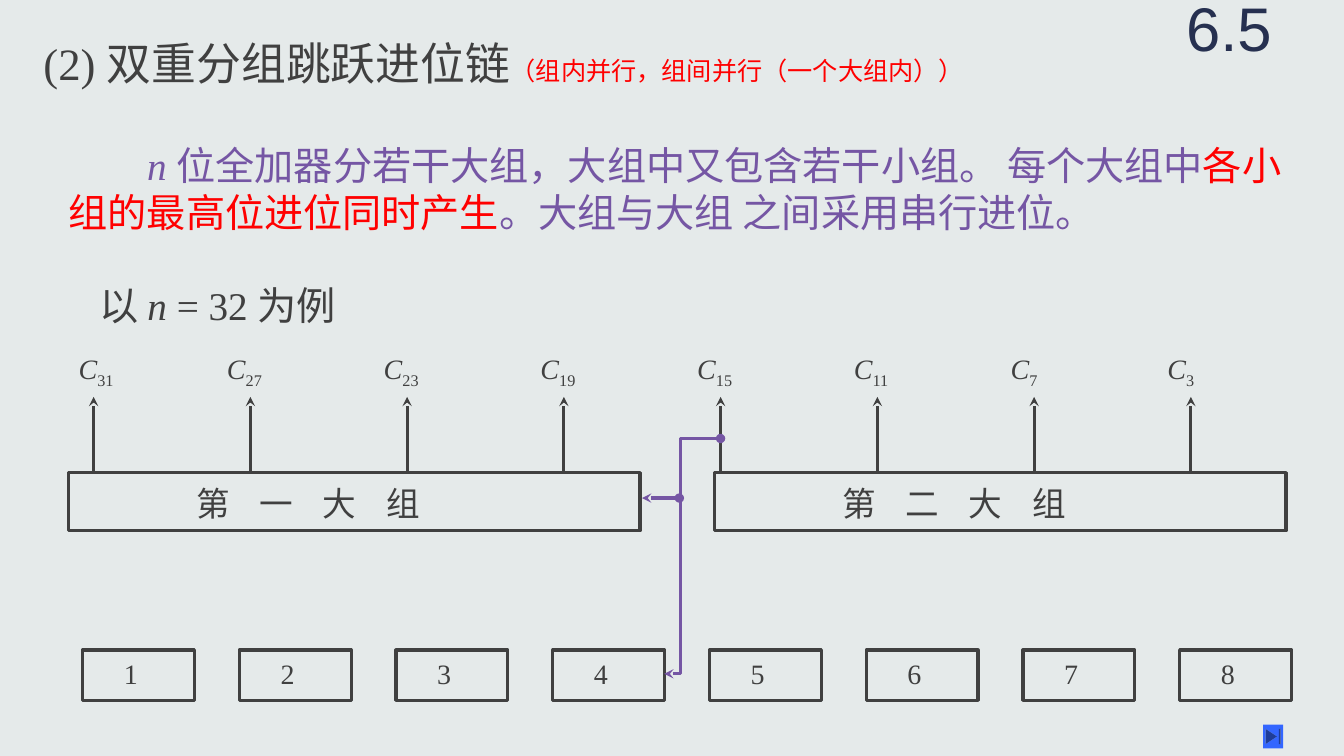
from pptx import Presentation
from pptx.dml.color import RGBColor
from pptx.enum.shapes import MSO_CONNECTOR, MSO_SHAPE
from pptx.enum.text import MSO_ANCHOR, MSO_AUTO_SIZE, PP_ALIGN
from pptx.oxml.ns import qn
from pptx.util import Cm, Pt
from lxml.etree import SubElement

INK = RGBColor(0x40, 0x40, 0x40)
PURPLE = RGBColor(0x75, 0x56, 0xA4)
RED = RGBColor(0xFF, 0x00, 0x00)
NAVY = RGBColor(0x26, 0x30, 0x50)
BLUE = RGBColor(0x33, 0x66, 0xFF)
PAPER = RGBColor(0xE5, 0xEA, 0xEA)
SERIF, SANS = "Times New Roman", "Arial"
PITCH = 3.95
CARRIES = (31, 27, 23, 19, 15, 11, 7, 3)


def place(sp, left, top, width, height):
    """Position a shape, in centimetres."""
    box = dict(left=left, top=top, width=width, height=height)
    for name, value in box.items():
        setattr(sp, name, Cm(value))


def write(sp, runs, inset=None, **frame):
    """Fill a shape with (text, font values, run attributes) runs."""
    tf = sp.text_frame
    values = dict(word_wrap=True, auto_size=MSO_AUTO_SIZE.NONE) | frame
    if inset is not None:
        values |= {f"margin_{side}": inset for side in ("left", "right", "top", "bottom")}
    for name, value in values.items():
        setattr(tf, name, value)
    p = tf.paragraphs[0]
    p.alignment = PP_ALIGN.LEFT
    for text, fmt, attrs in runs:
        r = p.add_run()
        r.text = text
        fmt = dict(name=SERIF, color=INK) | fmt
        r.font.color.rgb = fmt.pop("color")
        for name, value in fmt.items():
            setattr(r.font, name, value)
        for name, value in attrs.items():
            r.font._element.set(name, value)
    return p


def add_text(slide, box, runs, **frame):
    """Add a text box and return its paragraph."""
    sp = slide.shapes.add_textbox(*map(Cm, box))
    return write(sp, runs, **frame)


def add_label(slide, box, runs):
    """Add a one-line label that fits its text."""
    add_text(slide, box, runs, word_wrap=False, auto_size=MSO_AUTO_SIZE.SHAPE_TO_FIT_TEXT)


def add_box(slide, *box):
    """Add an outlined rectangle."""
    sp = slide.shapes.add_shape(MSO_SHAPE.RECTANGLE, *map(Cm, box))
    sp.shadow.inherit = False
    sp.fill.background()
    style_line(sp, INK)


def style_line(sp, color, **ends):
    """Set a line's colour, weight and end marks."""
    sp.line.color.rgb = color
    sp.line.width = Pt(2.25)
    for end, kind in ends.items():
        SubElement(sp.line._get_or_add_ln(), qn(f"a:{end}"), type=kind)


def add_line(slide, points, color, **ends):
    """Add a straight connector with end marks."""
    sp = slide.shapes.add_connector(MSO_CONNECTOR.STRAIGHT, *map(Cm, points))
    style_line(sp, color, **ends)
    SubElement(sp._element.spPr, qn("a:effectLst"))


def add_route(slide, points, color, **ends):
    """Add an open bent line with end marks."""
    start, *rest = [(Cm(x), Cm(y)) for x, y in points]
    fb = slide.shapes.build_freeform(*start)
    fb.add_line_segments(rest, close=False)
    sp = fb.convert_to_shape()
    sp.shadow.inherit = False
    sp.fill.background()
    style_line(sp, color, **ends)


def add_heading(slide):
    """Fill the title and the section number."""
    title = slide.shapes.title
    place(title, 0.84, 0.64, 31.55, 1.9)
    write(title, [
        ("(2) 双重分组跳跃进位链", dict(size=Pt(32)), {}),
        ("（组内并行，组间并行（一个大组内））", dict(size=Pt(18), name=SANS, color=RED), {}),
    ], vertical_anchor=MSO_ANCHOR.MIDDLE)
    add_text(slide, (29.64, -0.48, 4.24, 2.34),
             [("6.5", dict(size=Pt(44), name=SANS, color=NAVY), {})],
             vertical_anchor=MSO_ANCHOR.MIDDLE)


def add_body(slide):
    """Add the explanation and the example line."""
    big = dict(size=Pt(28))
    violet = big | dict(color=PURPLE)
    p = add_text(slide, (1.73, 2.31, 30.66, 4.88), [
        ("n ", violet | dict(italic=True), {}),
        ("位全加器分若干大组，大组中又包含若干小组。 每个大组中", violet, {}),
        ("各小组的最高位进位同时产生", big | dict(color=RED), {}),
        ("。大组与大组 之间采用串行进位。", violet, {}),
    ], inset=0, vertical_anchor=MSO_ANCHOR.MIDDLE)
    p.line_spacing = Pt(33.6)
    p._p.get_or_add_pPr().set("indent", str(Cm(1.98)))
    add_text(slide, (2.51, 7.19, 9.32, 0.99), [
        ("以 ", big, {}),
        ("n", big | dict(italic=True), {}),
        (" = 32 为例", big, {}),
    ], inset=0, vertical_anchor=MSO_ANCHOR.MIDDLE)


def add_groups(slide):
    """Add the two large groups, the eight small ones and their carries."""
    for left, number in ((1.73, "一"), (18.01, "二")):
        add_box(slide, left, 11.91, 14.4, 1.47)
        add_label(slide, (left + 2.97, 12.04, 6.5, 1.3),
                  [(f"第 {number} 大 组", dict(size=Pt(24)), dict(spc="790"))])
    small = dict(size=Pt(20))
    for i, carry in enumerate(CARRIES):
        x = i * PITCH
        add_box(slide, x + 2.08, 16.38, 2.82, 1.27)
        add_label(slide, (x + 2.87, 16.41, 0.86, 1.12), [(str(i + 1), small, {})])
        add_line(slide, (x + 2.36, 11.91, x + 2.36, 10), INK, tailEnd="stealth")
        label_left = x + (1.52 if i else 1.73)
        add_label(slide, (label_left, 8.74, 1.47 if carry > 9 else 1.22, 1.12), [
            ("C", small | dict(italic=True), {}),
            (str(carry), small, dict(baseline="-25000")),
        ])


def add_carry_path(slide):
    """Add the serial carry from the second large group to the first."""
    ends = dict(headEnd="stealth", tailEnd="oval")
    add_line(slide, (16.18, 12.55, 17.12, 12.55), PURPLE, **ends)
    add_route(slide, [(16.74, 16.98), (17.14, 16.98), (17.14, 11.05), (18.16, 11.05)],
              PURPLE, **ends)


def add_end_button(slide):
    """Add the small end button."""
    sp = slide.shapes.add_shape(MSO_SHAPE.ACTION_BUTTON_END,
                                Cm(31.83), Cm(18.26), Cm(0.51), Cm(0.6))
    sp.shadow.inherit = False
    sp.fill.solid()
    sp.fill.fore_color.rgb = BLUE
    sp.line.fill.background()


def main():
    """Build and save the slide."""
    prs = Presentation()
    prs.slide_width, prs.slide_height = Cm(33.87), Cm(19.05)
    slide = prs.slides.add_slide(prs.slide_layouts[5])
    slide.background.fill.solid()
    slide.background.fill.fore_color.rgb = PAPER
    add_heading(slide)
    add_body(slide)
    add_groups(slide)
    add_carry_path(slide)
    add_end_button(slide)
    prs.save("out.pptx")


if __name__ == "__main__":
    main()
